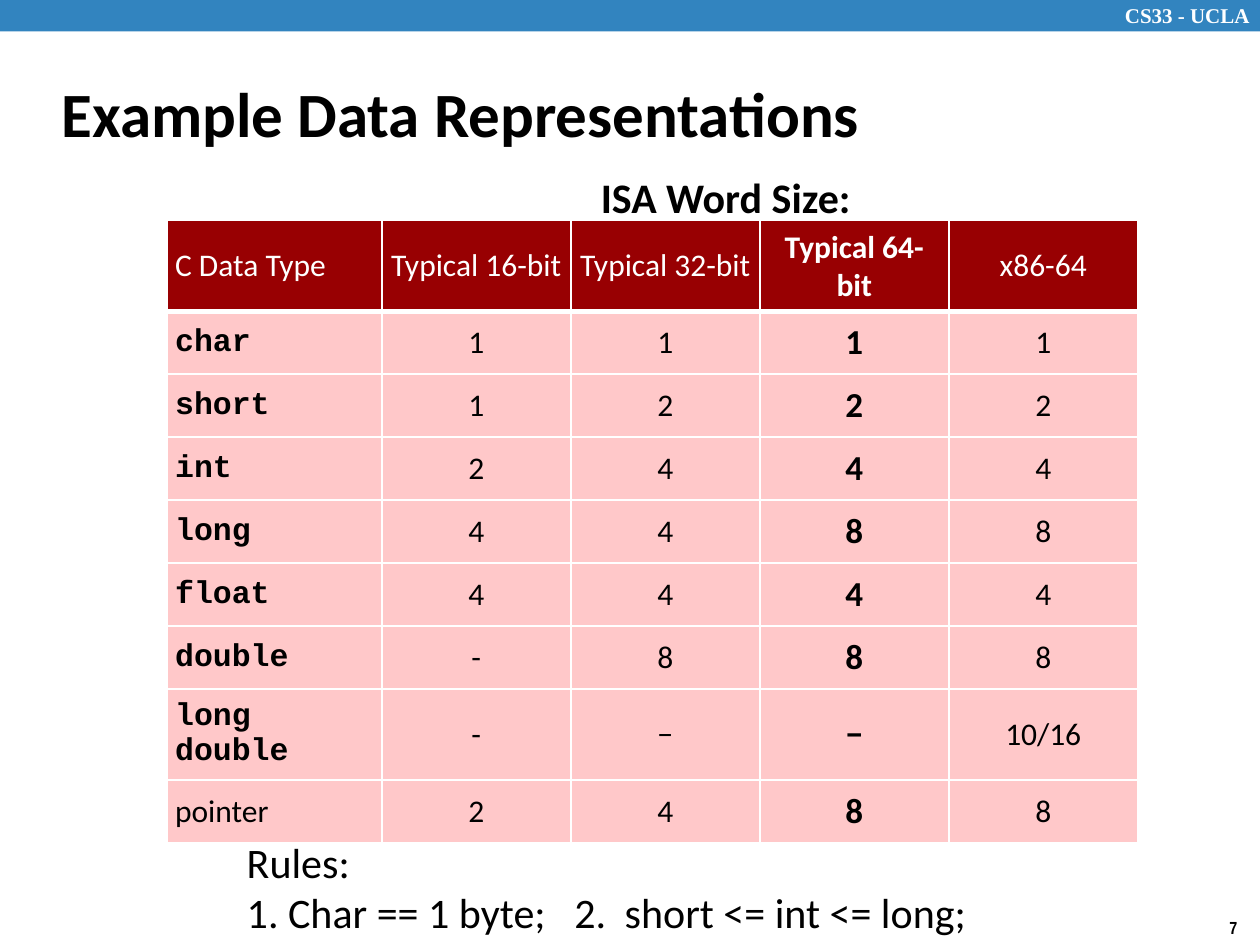
from lxml import etree
from pptx import Presentation
from pptx.dml.color import RGBColor
from pptx.enum.shapes import MSO_SHAPE
from pptx.enum.text import MSO_ANCHOR, PP_ALIGN
from pptx.oxml.ns import qn
from pptx.util import Inches, Pt

RECTANGLE = MSO_SHAPE.RECTANGLE
TOP, MIDDLE = MSO_ANCHOR.TOP, MSO_ANCHOR.MIDDLE
LEFT, CENTER = PP_ALIGN.LEFT, PP_ALIGN.CENTER

COLORS = {"bar": "3284BF", "header": "980002", "body": "FFC8C9",
          "white": "FFFFFF", "black": "000000"}
SIZES = [
    ["C Data Type", "Typical 16-bit", "Typical 32-bit", "Typical 64-bit", "x86-64"],
    ["char", "1", "1", "1", "1"],
    ["short", "1", "2", "2", "2"],
    ["int", "2", "4", "4", "4"],
    ["long", "4", "4", "8", "8"],
    ["float", "4", "4", "4", "4"],
    ["double", "-", "8", "8", "8"],
    ["long double", "-", "−", "−", "10/16"],
    ["pointer", "2", "4", "8", "8"],
]
HIGHLIGHT_COLUMN = 3


def rgb(name):
    """Return the named palette colour."""
    return RGBColor.from_string(COLORS[name])


def style(paragraph, size, font="Calibri", color="black", bold=False):
    """Set the font of a whole paragraph."""
    paragraph.font.size = Pt(size)
    paragraph.font.name = font
    paragraph.font.bold = bold
    paragraph.font.color.rgb = rgb(color)


def add_text(slide, box, lines, size, wrap=True, anchor=TOP, **font):
    """Place a text box with one paragraph per line and return its frame."""
    frame = slide.shapes.add_textbox(*map(Inches, box)).text_frame
    frame.word_wrap = wrap
    frame.vertical_anchor = anchor
    frame.text = "\n".join(lines)
    for paragraph in frame.paragraphs:
        style(paragraph, size, **font)
    return frame


def add_course_bar(slide, box):
    """Draw the coloured bar with the course name at its right end."""
    left, top, width, height = box
    bar = slide.shapes.add_shape(RECTANGLE, *map(Inches, box))
    bar.shadow.inherit = False
    bar.fill.solid()
    bar.fill.fore_color.rgb = rgb("bar")
    bar.line.fill.background()
    add_text(slide, (left + width - 1.17, top - 0.03, 1.24, 0.3), ["CS33 - UCLA"],
             12, font="Times New Roman", color="white", bold=True)


def add_borders(cell, top, bottom):
    """Give a cell white borders; top and bottom widths are in points."""
    properties = cell._tc.get_or_add_tcPr()
    for side, width in (("L", 1), ("R", 1), ("T", top), ("B", bottom)):
        line = etree.SubElement(properties, qn(f"a:ln{side}"), w=str(Pt(width)))
        fill = etree.SubElement(line, qn("a:solidFill"))
        etree.SubElement(fill, qn("a:srgbClr"), val=COLORS["white"])


def fill_cell(cell, row, column):
    """Write and format one cell by its place in the table."""
    header, highlight = row == 0, column == HIGHLIGHT_COLUMN
    keyword = column == 0 and 0 < row < len(SIZES) - 1
    cell.text = SIZES[row][column]
    cell.vertical_anchor = MIDDLE
    cell.margin_left = cell.margin_right = Inches(0.06)
    cell.margin_top = cell.margin_bottom = Inches(0.06)
    paragraph = cell.text_frame.paragraphs[0]
    paragraph.alignment = CENTER if column else LEFT
    style(paragraph, 20 if highlight and not header else 18,
          font="Courier New" if keyword else "Calibri",
          color="white" if header else "black", bold=keyword or highlight)
    add_borders(cell, top=3 if row == 1 else 1, bottom=3 if header else 1)
    cell.fill.solid()
    cell.fill.fore_color.rgb = rgb("header" if header else "body")


def add_size_table(slide, box):
    """Build the table of type sizes under its caption."""
    left, top, width, height = box
    table = slide.shapes.add_table(len(SIZES), len(SIZES[0]), *map(Inches, box)).table
    table.horz_banding = False
    for index, column in enumerate(table.columns):
        column.width = Inches(1.5 if index else 1.7)
    for index, row in enumerate(table.rows):
        row.height = Inches(0.5 if index else 0.56)
        for position, cell in enumerate(row.cells):
            fill_cell(cell, index, position)
    add_text(slide, (left + 3.34, top - 0.44, 2.2, 0.5), ["ISA Word Size:"],
             24, wrap=False, bold=True)


def add_rules(slide, box):
    """Write the rules, with tab stops setting the second one apart."""
    frame = add_text(slide, box, ["Rules:", "1. Char == 1 byte;\t2.\tshort <= int <= long;"], 24)
    stops = etree.SubElement(frame.paragraphs[1]._p.get_or_add_pPr(), qn("a:tabLst"))
    for position in (2.6, 3):
        etree.SubElement(stops, qn("a:tab"), pos=str(Inches(position)), algn="l")
    stops.getparent().insert(0, stops)


def build_slide(presentation):
    """Assemble the data representation slide."""
    slide = presentation.slides.add_slide(presentation.slide_layouts[6])
    add_course_bar(slide, (0, 0, 10, 0.25))
    add_text(slide, (9.66, 7.23, 0.34, 0.27), ["7"], 10, wrap=False,
             font="Arial Narrow", bold=True)
    add_text(slide, (0.39, 0.48, 8.3, 0.83), ["Example Data Representations"], 36,
             anchor=MIDDLE, bold=True)
    add_size_table(slide, (1.33, 1.75, 7.7, 4.56))
    add_rules(slide, (1.86, 6.59, 6.65, 0.91))


deck = Presentation()
deck.slide_width, deck.slide_height = Inches(10), Inches(7.5)
build_slide(deck)
deck.save("out.pptx")
